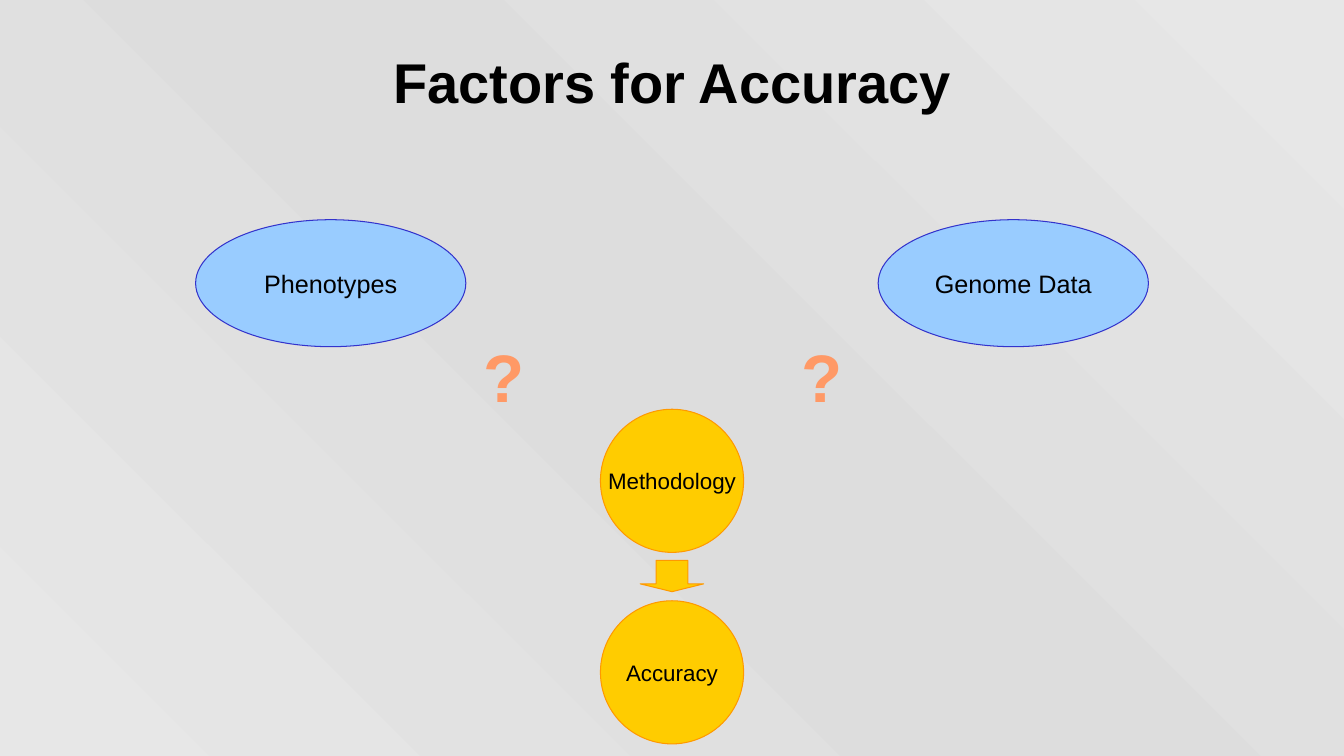
import copy
import pptx
import pptx.util
import pptx.dml.color
import pptx.enum.shapes
import pptx.enum.text
import pptx.oxml.ns

Inches = pptx.util.Inches
Pt = pptx.util.Pt
RGBColor = pptx.dml.color.RGBColor
Shape = pptx.enum.shapes.MSO_SHAPE
Align = pptx.enum.text.PP_ALIGN
Anchor = pptx.enum.text.MSO_ANCHOR

BLACK = RGBColor(0x00, 0x00, 0x00)
SKY = RGBColor(0x99, 0xCC, 0xFF)
INDIGO = RGBColor(0x33, 0x33, 0xCC)
GOLD = RGBColor(0xFF, 0xCC, 0x00)
ORANGE = RGBColor(0xFF, 0x99, 0x00)
CORAL = RGBColor(0xFF, 0x99, 0x66)
LIGHT_GRAY = RGBColor(0xE7, 0xE7, 0xE7)
MID_GRAY = RGBColor(0xDD, 0xDD, 0xDD)

WIDTH, HEIGHT = 13.33, 7.5
CENTER = WIDTH / 2
TITLE = "Factors for Accuracy"
INPUTS = [("Phenotypes", 1.94), ("Genome Data", 8.71)]
STEPS = [("Methodology", 4.06), ("Accuracy", 5.96)]
QUESTION_LEFTS = [4.7, 7.85]
STEP_SIZE = 1.42
ARROW_WIDTH, ARROW_HEIGHT, ARROW_TOP = 0.63, 0.31, 5.56
BACKGROUND_STOPS = [(0, LIGHT_GRAY), (0.5, MID_GRAY), (1, LIGHT_GRAY)]


def write(box, text, size, color=BLACK, bold=False, align=Align.CENTER,
          anchor=Anchor.MIDDLE, wrap=False):
    frame = box.text_frame
    frame.text = text
    frame.word_wrap = wrap
    frame.vertical_anchor = anchor
    para = frame.paragraphs[0]
    para.alignment = align
    span = para.runs[0]
    span.font.name = "Arial"
    span.font.size = Pt(size)
    span.font.bold = bold
    span.font.color.rgb = color


def add_figure(page, kind, left, top, width, height, fill, line):
    figure = page.shapes.add_shape(
        kind, Inches(left), Inches(top), Inches(width), Inches(height))
    figure.shadow.inherit = False
    figure.fill.solid()
    figure.fill.fore_color.rgb = fill
    figure.line.color.rgb = line
    figure.line.width = Pt(0.75)
    return figure


def add_text(page, left, top, width, height):
    return page.shapes.add_textbox(
        Inches(left), Inches(top), Inches(width), Inches(height))


def paint_background(page):
    fill = page.background.fill
    fill.gradient()
    fill.gradient_angle = 45
    stop_list = next(page.element.iter(pptx.oxml.ns.qn("a:gsLst")))
    stop_list.append(copy.deepcopy(stop_list[0]))
    for stop, (position, color) in zip(fill.gradient_stops, BACKGROUND_STOPS):
        stop.position = position
        stop.color.rgb = color


def main():
    deck = pptx.Presentation()
    deck.slide_width, deck.slide_height = Inches(WIDTH), Inches(HEIGHT)
    page = deck.slides.add_slide(deck.slide_layouts[6])
    paint_background(page)

    title = add_text(page, 0.26, 0.3, 12.81, 1.01)
    write(title, TITLE, 40, bold=True, wrap=True)

    for label, left in INPUTS:
        oval = add_figure(page, Shape.OVAL, left, 2.18, 2.68, 1.26, SKY, INDIGO)
        write(oval, label, 18)

    for label, top in STEPS:
        circle = add_figure(page, Shape.OVAL, CENTER - STEP_SIZE / 2, top,
                            STEP_SIZE, STEP_SIZE, GOLD, ORANGE)
        write(circle, label, 16)

    arrow = add_figure(page, Shape.DOWN_ARROW, CENTER - ARROW_WIDTH / 2,
                       ARROW_TOP, ARROW_WIDTH, ARROW_HEIGHT, GOLD, ORANGE)
    arrow.adjustments[0] = 0.5
    arrow.adjustments[1] = 0.25

    for left in QUESTION_LEFTS:
        question = add_text(page, left, 3.28, 0.87, 0.9)
        write(question, "?", 48, CORAL, bold=True, align=Align.LEFT,
              anchor=Anchor.TOP, wrap=True)

    deck.save("out.pptx")


if __name__ == "__main__":
    main()
